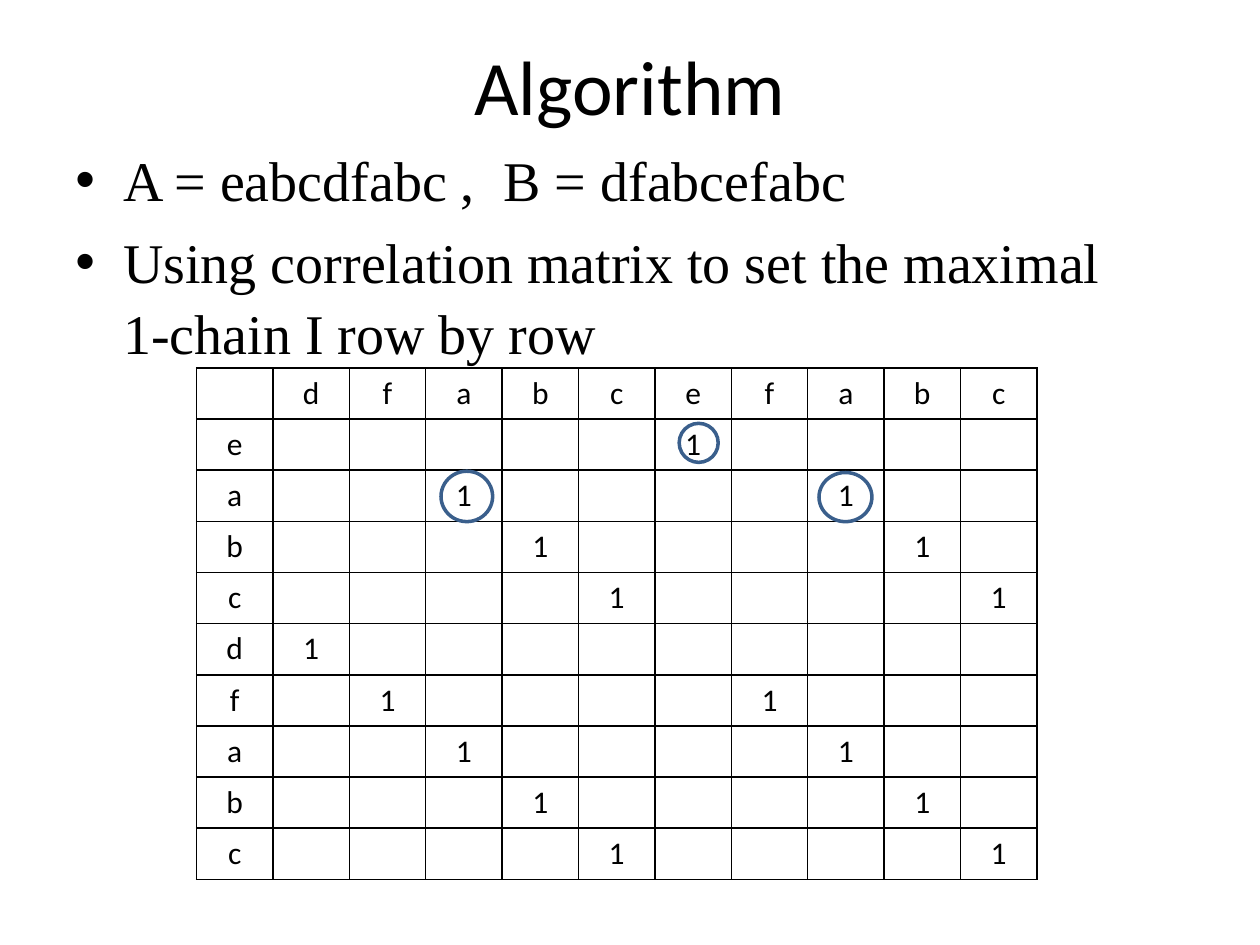
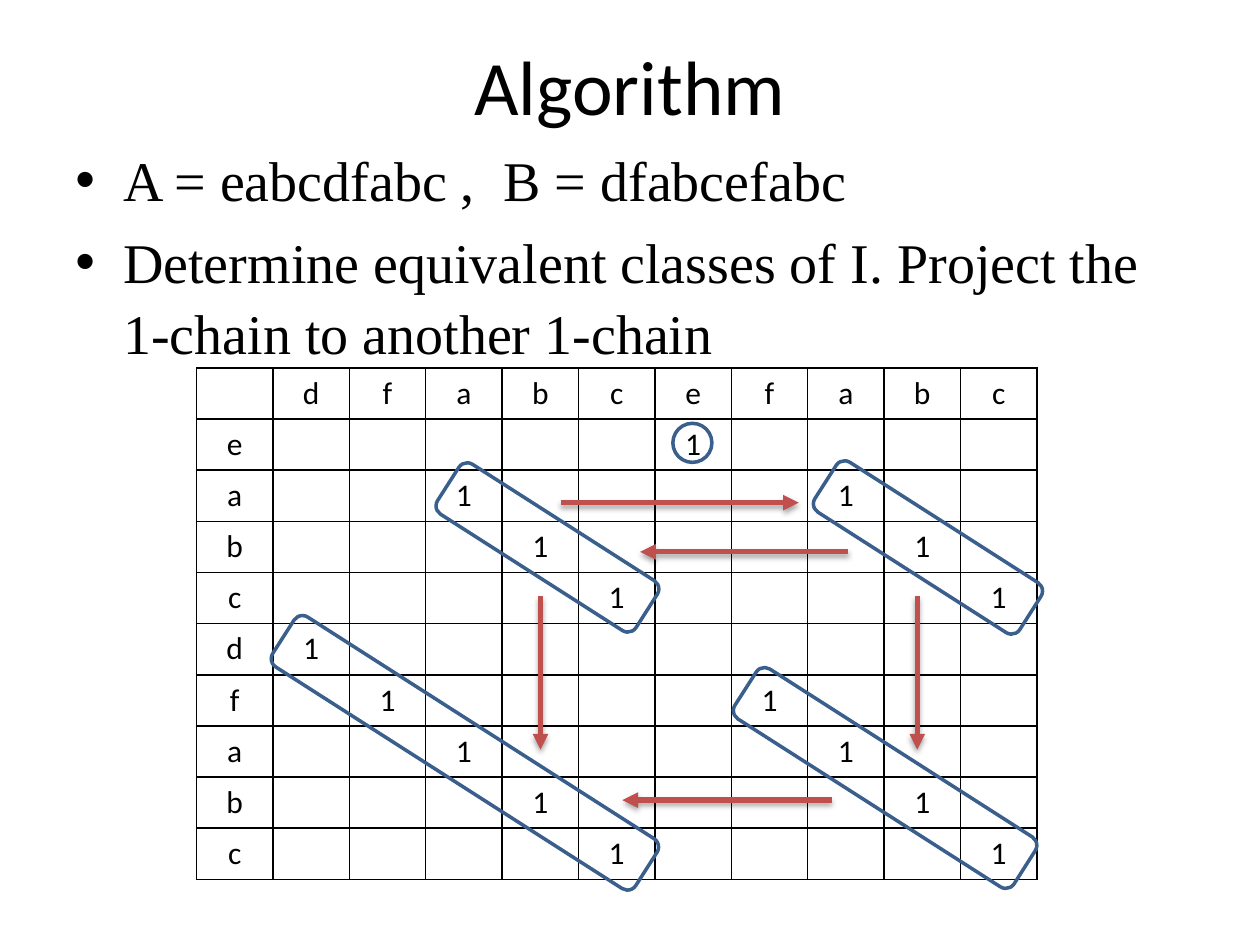
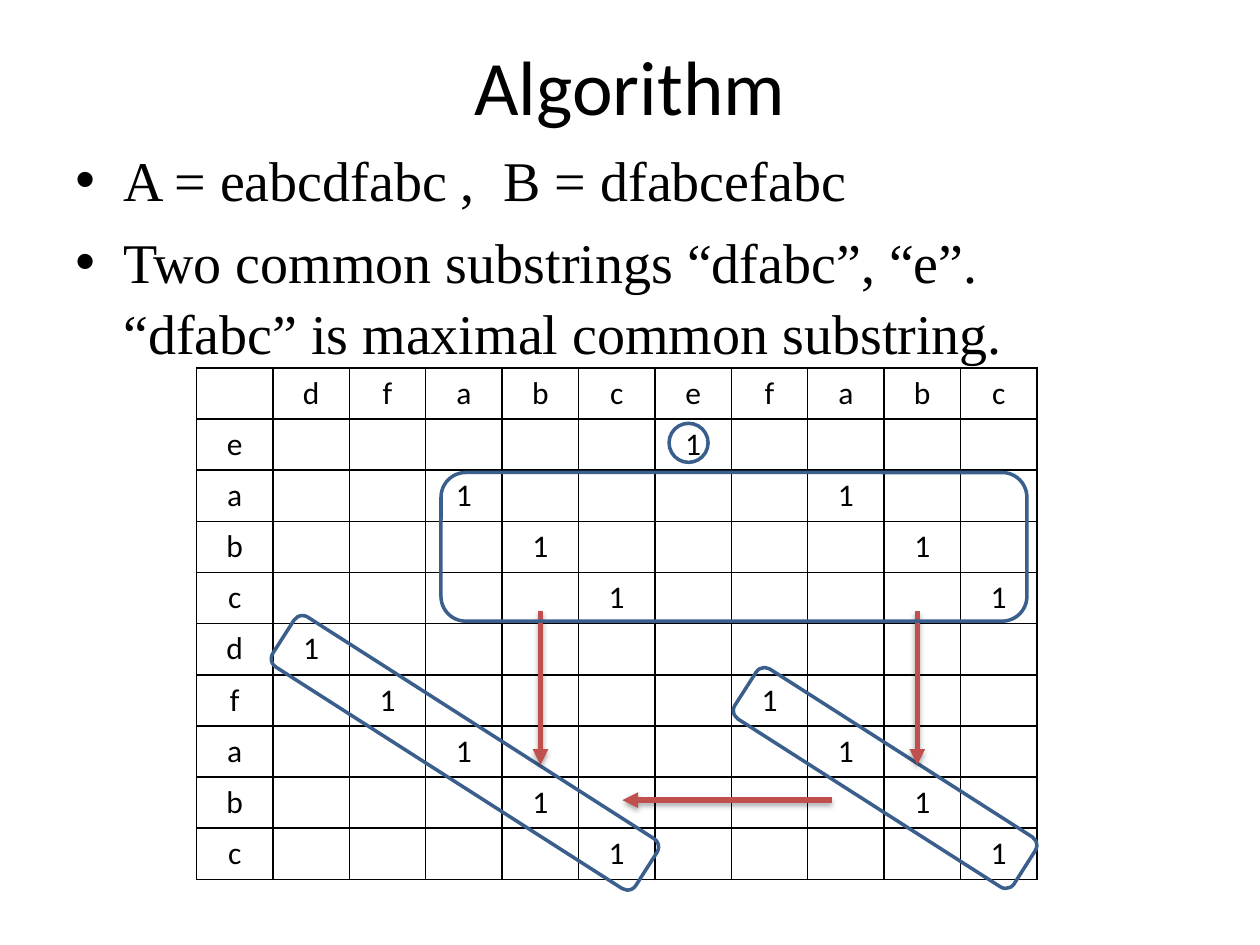
"""Build three slides that find a maximal common substring with a correlation matrix."""
from dataclasses import dataclass

from lxml.etree import SubElement
from pptx import Presentation
from pptx.dml.color import RGBColor
from pptx.enum.shapes import MSO_CONNECTOR, MSO_SHAPE
from pptx.enum.text import MSO_ANCHOR, PP_ALIGN
from pptx.oxml import parse_xml
from pptx.oxml.ns import nsdecls, qn
from pptx.util import Inches, Pt


@dataclass(frozen=True)
class Theme:
    text: RGBColor = RGBColor(0x00, 0x00, 0x00)
    paper: RGBColor = RGBColor(0xFF, 0xFF, 0xFF)
    outline: RGBColor = RGBColor(0x3A, 0x5F, 0x8C)
    arrow: RGBColor = RGBColor(0xC0, 0x50, 0x4D)
    heading_font: str = "Calibri"
    body_font: str = "Times New Roman"
    title_size: int = 44
    body_size: int = 32
    cell_size: int = 18


THEME = Theme()
SEQUENCE_A = "eabcdfabc"
SEQUENCE_B = "dfabcefabc"
CHAIN_ANGLE = 32.6
CHAIN_HEIGHT = 0.47
RING_SIZE = 0.31

CELL_BORDER = (
    '<a:{side} {namespace} w="12700"><a:solidFill><a:srgbClr val="{color}"/>'
    "</a:solidFill></a:{side}>"
)
ARROW_SHADOW = (
    f'<a:effectLst {nsdecls("a")}><a:outerShdw blurRad="39370" dist="22860" dir="5400000" '
    'rotWithShape="0"><a:srgbClr val="000000"><a:alpha val="35000"/></a:srgbClr>'
    "</a:outerShdw></a:effectLst>"
)


def ring(left, top=3.36, width=RING_SIZE, height=RING_SIZE):
    return MSO_SHAPE.OVAL, (left, top, width, height), 0


def chain(left, top, width):
    return MSO_SHAPE.ROUNDED_RECTANGLE, (left, top, width, CHAIN_HEIGHT), CHAIN_ANGLE


LOWER_CHAINS = [chain(1.98, 5.74, 3.42), chain(5.71, 5.94, 2.63)]
LOWER_ARROW = (6.6, 6.35, 4.94, 6.35)

STEPS = [
    {
        "lines": ["Using correlation matrix to set the maximal", "1-chain I row by row"],
        "outlines": [ring(5.39), ring(3.5, 3.74, 0.41, 0.4), ring(6.5, 3.75, 0.42, 0.39)],
        "arrows": [],
        "top_outlines": [],
    },
    {
        "lines": ["Determine equivalent classes of I. Project the 1-chain to another 1-chain"],
        "outlines": [ring(5.34), chain(3.41, 4.11, 1.87), chain(6.4, 4.11, 1.93), *LOWER_CHAINS],
        "arrows": [
            (4.29, 4.73, 4.29, 5.95),
            (4.45, 3.99, 6.34, 3.99),
            (6.73, 4.38, 5.08, 4.38),
            (7.28, 4.73, 7.28, 5.95),
            LOWER_ARROW,
        ],
        "top_outlines": [],
    },
    {
        "lines": ["Two common substrings “dfabc”, “e”.", "“dfabc” is maximal common substring."],
        "outlines": [ring(5.31), *LOWER_CHAINS],
        "arrows": [(4.29, 4.85, 4.29, 6.07), (7.28, 4.85, 7.28, 6.07), LOWER_ARROW],
        "top_outlines": [(MSO_SHAPE.ROUNDED_RECTANGLE, (3.5, 3.75, 4.65, 1.18), 0)],
    },
]

presentation = Presentation()
presentation.slide_width = Inches(10)
presentation.slide_height = Inches(7.5)

for step in STEPS:
    slide = presentation.slides.add_slide(presentation.slide_layouts[6])

    title = slide.shapes.add_textbox(Inches(0.5), Inches(0.05), Inches(9), Inches(1.25))
    title.text_frame.word_wrap = True
    title.text_frame.vertical_anchor = MSO_ANCHOR.MIDDLE
    paragraph = title.text_frame.paragraphs[0]
    paragraph.alignment = PP_ALIGN.CENTER
    run = paragraph.add_run()
    run.text = "Algorithm"
    run.font.size = Pt(THEME.title_size)
    run.font.name = THEME.heading_font
    run.font.color.rgb = THEME.text

    body = slide.shapes.add_textbox(Inches(0.5), Inches(1.07), Inches(9), Inches(5.91))
    body.text_frame.word_wrap = True
    sequences = body.text_frame.paragraphs[0]
    explanation = body.text_frame.add_paragraph()
    explanation.space_before = Pt(6.4)
    for paragraph in (sequences, explanation):
        paragraph.line_spacing = 1.06
        properties = paragraph._p.get_or_add_pPr()
        properties.set("marL", str(Inches(0.38)))
        properties.set("indent", str(-Inches(0.38)))
        SubElement(properties, qn("a:buFont")).set("typeface", "Arial")
        SubElement(properties, qn("a:buChar")).set("char", "•")

    for text in (f"A = {SEQUENCE_A} ,", " ", f"B = {SEQUENCE_B}"):
        run = sequences.add_run()
        run.text = text
        if text == " ":
            run.font._element.set("spc", "800")
    for index, line in enumerate(step["lines"]):
        if index:
            explanation.add_line_break()
        explanation.add_run().text = line
    for run in sequences.runs + explanation.runs:
        run.font.size = Pt(THEME.body_size)
        run.font.name = THEME.body_font
        run.font.color.rgb = THEME.text

    matrix = slide.shapes.add_table(
        len(SEQUENCE_A) + 1, len(SEQUENCE_B) + 1,
        Inches(1.56), Inches(2.92), Inches(6.67), Inches(4.06),
    ).table
    matrix.first_row = False
    matrix.horz_banding = False
    for row, row_letter in enumerate(" " + SEQUENCE_A):
        for column, column_letter in enumerate(" " + SEQUENCE_B):
            cell = matrix.cell(row, column)
            cell_properties = cell._tc.get_or_add_tcPr()
            for side in ("lnL", "lnR", "lnT", "lnB"):
                cell_properties.append(parse_xml(CELL_BORDER.format(
                    side=side, namespace=nsdecls("a"), color=THEME.text)))
            cell.fill.solid()
            cell.fill.fore_color.rgb = THEME.paper
            if row == 0 or column == 0:
                text = (row_letter + column_letter).strip()
            else:
                text = "1" if row_letter == column_letter else ""
            paragraph = cell.text_frame.paragraphs[0]
            paragraph.alignment = PP_ALIGN.CENTER
            if text:
                run = paragraph.add_run()
                run.text = text
                run.font.size = Pt(THEME.cell_size)
                run.font.name = THEME.heading_font
                run.font.color.rgb = THEME.text

    for layer in ("outlines", "arrows", "top_outlines"):
        for mark in step[layer]:
            if layer == "arrows":
                arrow = slide.shapes.add_connector(MSO_CONNECTOR.STRAIGHT, *map(Inches, mark))
                arrow.line.color.rgb = THEME.arrow
                arrow.line.width = Pt(3)
                SubElement(arrow.line._get_or_add_ln(), qn("a:tailEnd")).set("type", "triangle")
                arrow._element.spPr.append(parse_xml(ARROW_SHADOW))
            else:
                kind, box, angle = mark
                shape = slide.shapes.add_shape(kind, *map(Inches, box))
                shape.rotation = angle
                shape.shadow.inherit = False
                shape.fill.background()
                shape.line.color.rgb = THEME.outline
                shape.line.width = Pt(2)

presentation.save("out.pptx")
